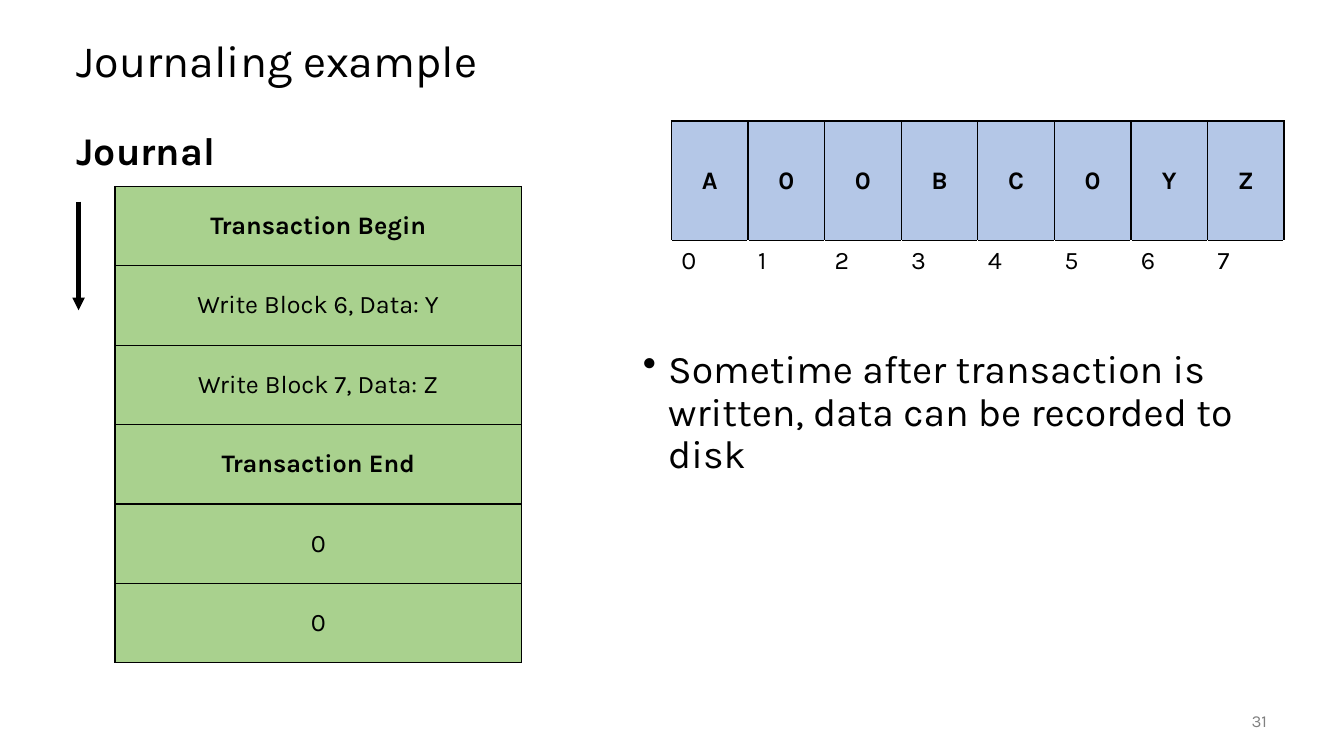
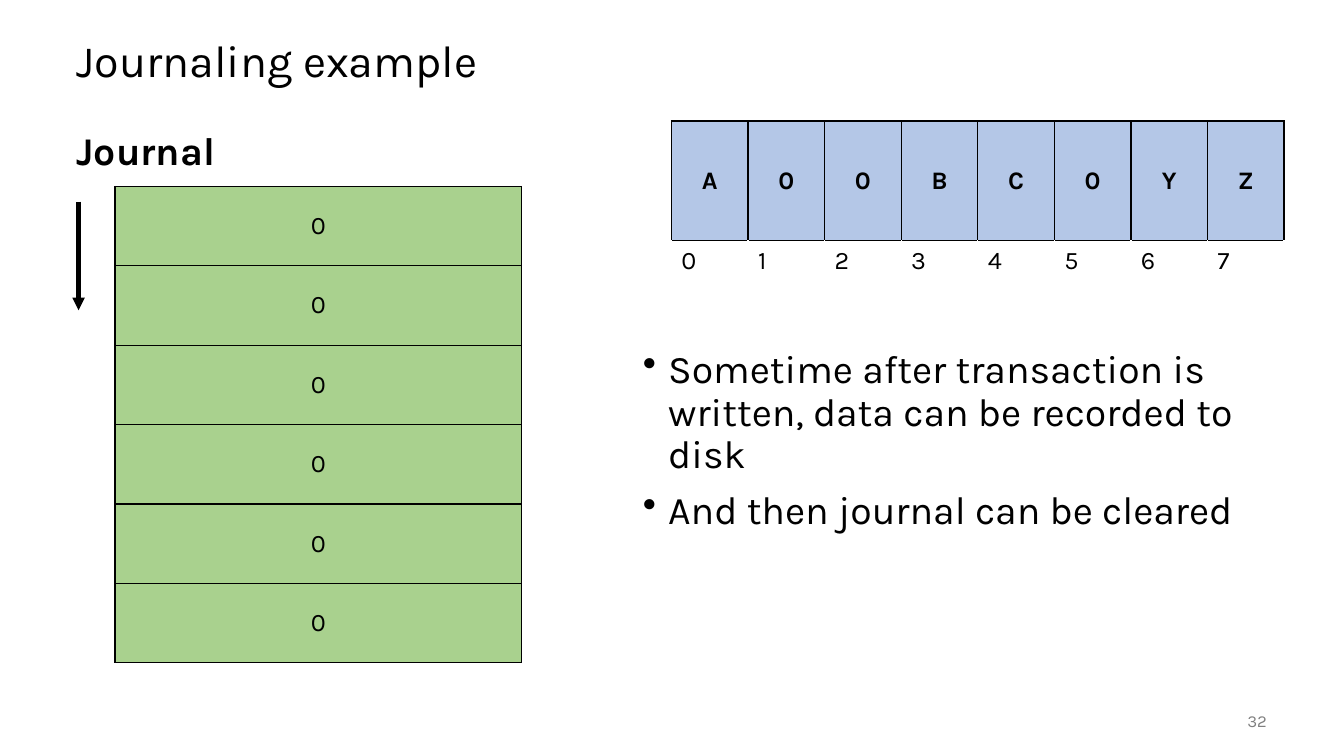
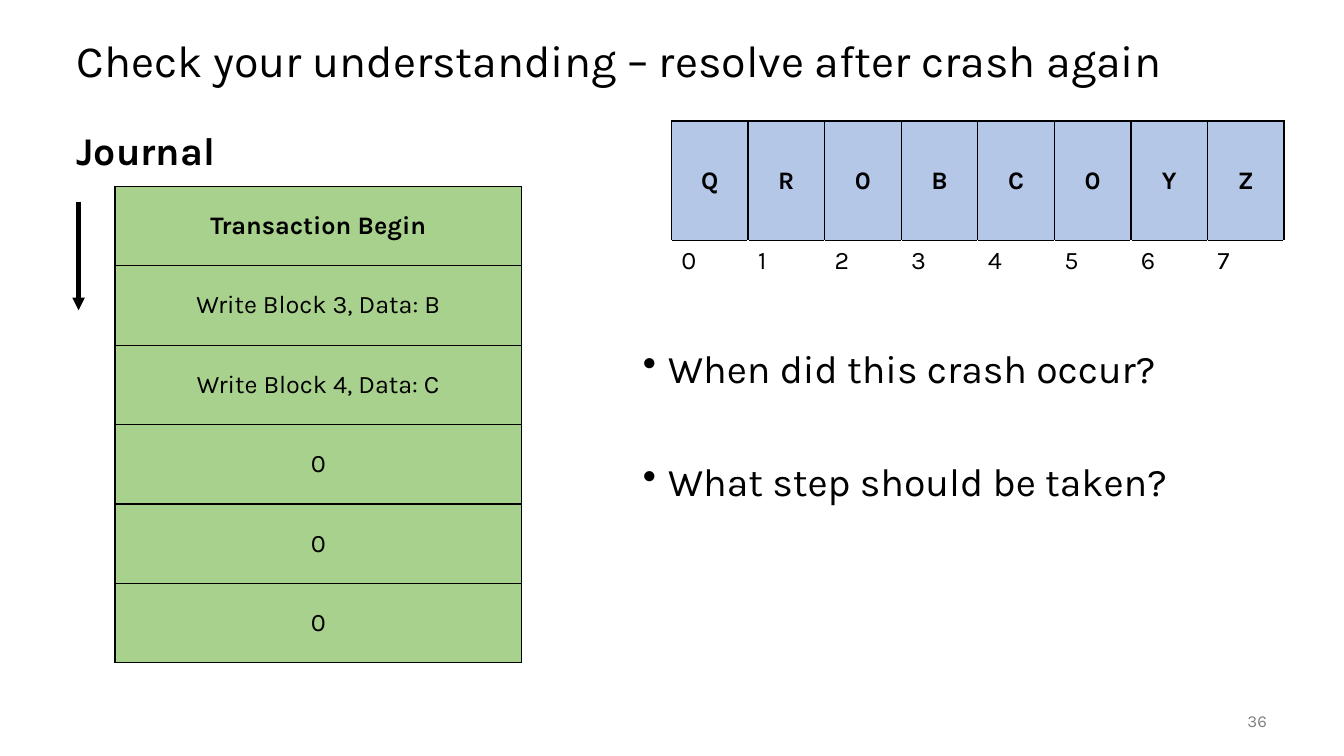
from dataclasses import dataclass

from pptx import Presentation
from pptx.dml.color import RGBColor
from pptx.enum.shapes import MSO_CONNECTOR
from pptx.enum.text import MSO_ANCHOR, MSO_AUTO_SIZE, PP_ALIGN
from pptx.oxml.xmlchemy import OxmlElement
from pptx.slide import Slide
from pptx.table import Table, _Cell
from pptx.text.text import TextFrame, _Paragraph
from pptx.util import Cm, Pt

FONT = "Karla"
BLACK = RGBColor(0x00, 0x00, 0x00)
WHITE = RGBColor(0xFF, 0xFF, 0xFF)
GRAY = RGBColor(0x80, 0x80, 0x80)
DISK_BLUE = RGBColor(0xB4, 0xC7, 0xE7)
JOURNAL_GREEN = RGBColor(0xA9, 0xD1, 0x8E)

TITLE_ONLY = 5
LINE_SPACING = 0.9
MARGIN_LEFT = Cm(1.68)
BULLET_INDENT = Cm(0.64)
DISK_COLUMN, DISK_ROW, INDEX_ROW = Cm(1.93), Cm(3.02), Cm(1.35)
JOURNAL_WIDTH, JOURNAL_ROW = Cm(10.24), Cm(2)


@dataclass(frozen=True)
class JournalSlide:
    title: str
    number: int
    disk: str
    journal: tuple[str, ...]
    points: tuple[str, ...]
    point_gap: float = 10


SLIDES = (
    JournalSlide(
        "Journaling example", 31, "A00BC0YZ",
        ("Transaction Begin", "Write Block 6, Data: Y", "Write Block 7, Data: Z",
         "Transaction End", "0", "0"),
        ("Sometime after transaction is written, data can be recorded to disk",),
    ),
    JournalSlide(
        "Journaling example", 32, "A00BC0YZ",
        ("0",) * 6,
        ("Sometime after transaction is written, data can be recorded to disk",
         "And then journal can be cleared"),
    ),
    JournalSlide(
        "Check your understanding – resolve after crash again", 36, "QR0BC0YZ",
        ("Transaction Begin", "Write Block 3, Data: B", "Write Block 4, Data: C",
         "0", "0", "0"),
        ("When did this crash occur?", "What step should be taken?"),
        point_gap=50.4,
    ),
)


def add_text(paragraph: _Paragraph, text: str, size: float,
             color: RGBColor = BLACK, bold: bool = False) -> None:
    run = paragraph.add_run()
    run.text = text
    run.font.name = FONT
    run.font.size = Pt(size)
    run.font.bold = bold
    run.font.color.rgb = color


def add_text_frame(slide: Slide, left: Cm, top: Cm, width: Cm, height: Cm) -> TextFrame:
    frame = slide.shapes.add_textbox(left, top, width, height).text_frame
    frame.word_wrap = True
    return frame


def add_title(slide: Slide, text: str) -> None:
    title = slide.shapes.title
    title.left, title.top = MARGIN_LEFT, Cm(0.64)
    title.width, title.height = Cm(30.48), Cm(1.9)
    frame = title.text_frame
    frame.auto_size = MSO_AUTO_SIZE.NONE
    frame.vertical_anchor = MSO_ANCHOR.MIDDLE
    paragraph = frame.paragraphs[0]
    paragraph.alignment = PP_ALIGN.LEFT
    paragraph.line_spacing = LINE_SPACING
    add_text(paragraph, text, 32)


def add_journal_heading(slide: Slide) -> None:
    frame = add_text_frame(slide, MARGIN_LEFT, Cm(3.18), Cm(14.6), Cm(13.97))
    heading = frame.paragraphs[0]
    heading.line_spacing = LINE_SPACING
    add_text(heading, "Journal", 28, bold=True)


def add_slide_number(slide: Slide, number: int) -> None:
    frame = add_text_frame(slide, Cm(29.64), Cm(17.65), Cm(2.54), Cm(1.02))
    frame.vertical_anchor = MSO_ANCHOR.MIDDLE
    paragraph = frame.paragraphs[0]
    paragraph.alignment = PP_ALIGN.RIGHT
    add_text(paragraph, str(number), 12, GRAY)


def add_points(slide: Slide, points: tuple[str, ...], gap: float) -> None:
    frame = add_text_frame(slide, Cm(15.95), Cm(8.69), Cm(16.23), Cm(8.46))
    for position, point in enumerate(points):
        paragraph = frame.add_paragraph() if position else frame.paragraphs[0]
        properties = paragraph._p.get_or_add_pPr()
        properties.set("marL", str(BULLET_INDENT))
        properties.set("indent", str(-BULLET_INDENT))
        bullet = OxmlElement("a:buChar")
        bullet.set("char", "•")
        properties.append(bullet)
        paragraph.line_spacing = LINE_SPACING
        if position:
            paragraph.space_before = Pt(gap)
        add_text(paragraph, point, 28)


def set_borders(cell: _Cell, sides: RGBColor, top: RGBColor, bottom: RGBColor) -> None:
    properties = cell._tc.get_or_add_tcPr()
    for side, color in (("L", sides), ("R", sides), ("T", top), ("B", bottom)):
        border = OxmlElement(f"a:ln{side}")
        border.set("w", str(Pt(1)))
        fill = OxmlElement("a:solidFill")
        rgb = OxmlElement("a:srgbClr")
        rgb.set("val", str(color))
        fill.append(rgb)
        border.append(fill)
        properties.append(border)


def fill_block(cell: _Cell, text: str, color: RGBColor, bold: bool) -> None:
    set_borders(cell, BLACK, BLACK, BLACK)
    cell.fill.solid()
    cell.fill.fore_color.rgb = color
    cell.vertical_anchor = MSO_ANCHOR.MIDDLE
    paragraph = cell.text_frame.paragraphs[0]
    paragraph.alignment = PP_ALIGN.CENTER
    add_text(paragraph, text, 18, bold=bold)


def add_plain_table(slide: Slide, left: Cm, top: Cm, column_width: Cm,
                    columns: int, row_heights: list[Cm]) -> Table:
    table = slide.shapes.add_table(
        len(row_heights), columns, left, top,
        column_width * columns, sum(row_heights),
    ).table
    table.first_row = table.horz_banding = False
    for column in table.columns:
        column.width = column_width
    for row, height in zip(table.rows, row_heights):
        row.height = height
    return table


def add_disk(slide: Slide, blocks: str) -> None:
    disk = add_plain_table(slide, Cm(16.92), Cm(3.05), DISK_COLUMN,
                           len(blocks), [DISK_ROW, INDEX_ROW])
    for index, block in enumerate(blocks):
        fill_block(disk.cell(0, index), block, DISK_BLUE, bold=True)
        label = disk.cell(1, index)
        set_borders(label, WHITE, BLACK, WHITE)
        label.fill.background()
        add_text(label.text_frame.paragraphs[0], str(index), 18)


def add_journal(slide: Slide, entries: tuple[str, ...]) -> None:
    journal = add_plain_table(slide, Cm(2.9), Cm(4.7), JOURNAL_WIDTH,
                              1, [JOURNAL_ROW] * len(entries))
    for row, entry in enumerate(entries):
        fill_block(journal.cell(row, 0), entry, JOURNAL_GREEN,
                   bold=entry.startswith("Transaction"))


def add_direction_arrow(slide: Slide) -> None:
    arrow = slide.shapes.add_connector(
        MSO_CONNECTOR.STRAIGHT, Cm(1.98), Cm(5.08), Cm(1.98), Cm(7.82))
    arrow.line.color.rgb = BLACK
    arrow.line.width = Pt(3)
    head = OxmlElement("a:tailEnd")
    head.set("type", "triangle")
    arrow.line._get_or_add_ln().append(head)
    arrow._element.spPr.append(OxmlElement("a:effectLst"))


def main() -> None:
    deck = Presentation()
    deck.slide_width, deck.slide_height = Cm(33.87), Cm(19.05)
    for content in SLIDES:
        slide = deck.slides.add_slide(deck.slide_layouts[TITLE_ONLY])
        # Title, heading and footer
        add_title(slide, content.title)
        add_journal_heading(slide)
        add_slide_number(slide, content.number)
        # Discussion points
        add_points(slide, content.points, content.point_gap)
        # Disk blocks and journal entries
        add_disk(slide, content.disk)
        add_journal(slide, content.journal)
        add_direction_arrow(slide)
    deck.save("out.pptx")


if __name__ == "__main__":
    main()
